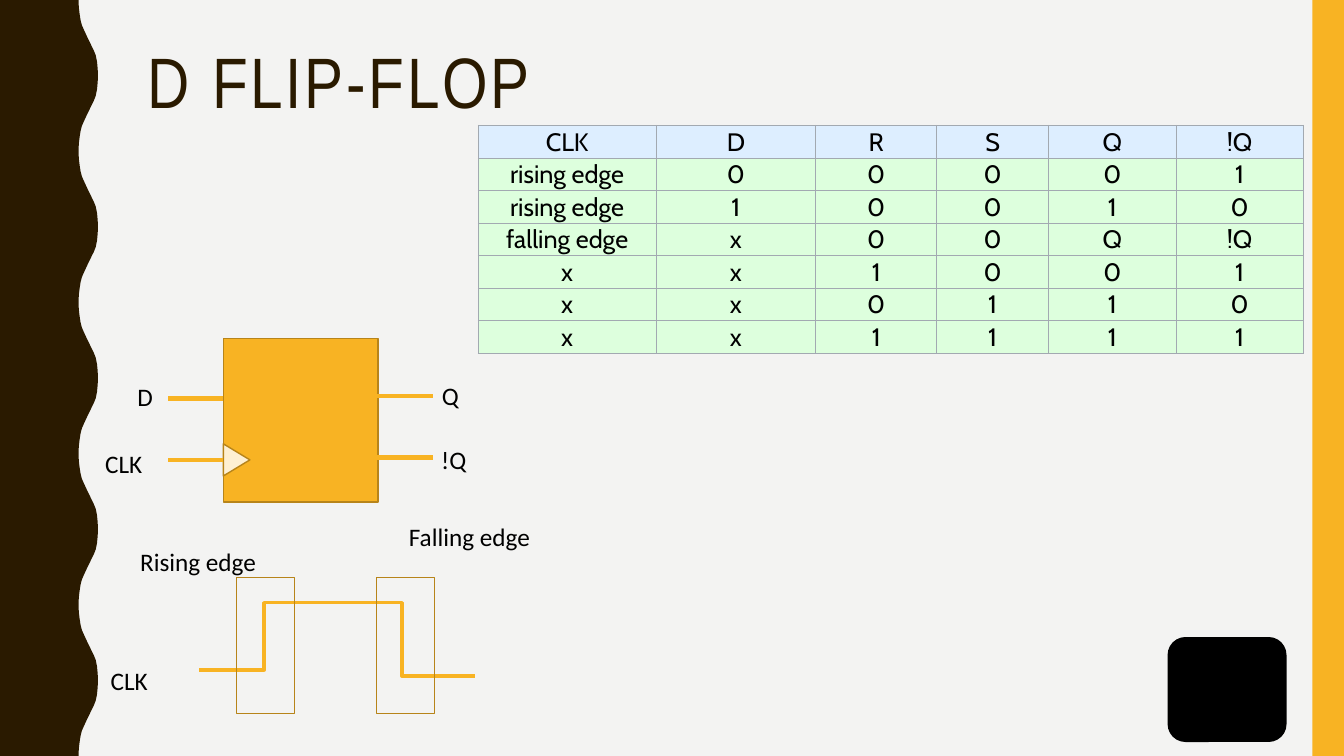
import pptx
import pptx.dml.color
import pptx.enum.shapes
import pptx.enum.text
import pptx.oxml
import pptx.oxml.ns
import pptx.util

Pt = pptx.util.Pt
SHAPE = pptx.enum.shapes.MSO_SHAPE
LINK = pptx.enum.shapes.MSO_CONNECTOR
ALIGN = pptx.enum.text.PP_ALIGN
ANCHOR = pptx.enum.text.MSO_ANCHOR
HUES = {"paper": "F3F3F2", "brown": "2A1A00", "gold": "F8B323", "edge": "B7841A",
        "cream": "FEF0D3", "black": "000000", "head": "DDEEFF", "body": "DDFFDD",
        "rule": "A2A9B1"}
WAVE = [(0, 56.2), (5, 56.3), (10, 56.9), (14.5, 57.6), (18, 58.5), (21, 59.8),
        (24, 61.2), (27, 62.6), (30, 64.1), (33, 65.5), (36, 67), (39.5, 68.4),
        (44, 69.3), (49, 69.8), (54, 70)]
COLS = [127.2, 114, 86.4, 80, 90.9, 91]
ROWS = ["CLK D R S Q !Q".split()] + [[name, *bits] for name, *bits in (
    ("rising edge", "0", "0", "0", "0", "1"),
    ("rising edge", "1", "0", "0", "1", "0"),
    ("falling edge", "x", "0", "0", "Q", "!Q"),
    ("x", "x", "1", "0", "0", "1"),
    ("x", "x", "0", "1", "1", "0"),
    ("x", "x", "1", "1", "1", "1"))]


def hue(name):
    """Return the named colour."""
    return pptx.dml.color.RGBColor.from_string(HUES[name])


def write(frame, text, font="Calibri", size=18, color="black", align=ALIGN.LEFT,
          space=None, lead=None):
    """Put one formatted paragraph into a text frame."""
    para = frame.paragraphs[0]
    para.alignment = align
    if lead:
        para.line_spacing = lead
    run = para.add_run()
    run.text = text
    run.font.name = font
    run.font.size = Pt(size)
    run.font.color.rgb = hue(color)
    if space:
        run.font._element.set("spc", str(space * 100))


def paint(shape, fill=None, line=None):
    """Set the fill and outline of a shape."""
    shape.shadow.inherit = False
    if fill:
        shape.fill.solid()
        shape.fill.fore_color.rgb = hue(fill)
    else:
        shape.fill.background()
    if line:
        shape.line.color.rgb = hue(line)
        shape.line.width = Pt(1)
    else:
        shape.line.fill.background()


def block(slide, kind, box, fill=None, line=None):
    """Add a painted preset shape."""
    shape = slide.shapes.add_shape(kind, *map(Pt, box))
    paint(shape, fill, line)
    return shape


def wire(slide, kind, ends, width):
    """Add a gold connector."""
    link = slide.shapes.add_connector(kind, *map(Pt, ends))
    link.line.color.rgb = hue("gold")
    link.line.width = Pt(width)
    link._element.spPr.append(pptx.oxml.parse_xml(
        f'<a:effectLst {pptx.oxml.ns.nsdecls("a")}/>'))


def label(slide, text, left, top, width):
    """Add a one-line label."""
    frame = slide.shapes.add_textbox(*map(Pt, (left, top, width, 29))).text_frame
    frame.word_wrap = True
    write(frame, text)


def decor(slide, wide, high):
    """Draw the wavy left edge, the right band and the corner badge."""
    slide.background.fill.solid()
    slide.background.fill.fore_color.rgb = hue("paper")
    crest = WAVE + [(108 - y, x) for y, x in WAVE[-2::-1]]
    edge = [(Pt(x), Pt(y + 108 * turn)) for turn in range(5) for y, x in crest]
    path = slide.shapes.build_freeform(0, 0)
    path.add_line_segments(edge + [(0, Pt(high))], close=True)
    paint(path.convert_to_shape(), "brown")
    block(slide, SHAPE.RECTANGLE, (wide - 22.5, 0, 22.5, high), "gold")
    block(slide, SHAPE.ROUNDED_RECTANGLE, (wide - 125.5, high - 84.5, 84, 74),
          "black", "black")


def heading(slide, box, text):
    """Place and fill the title."""
    title = slide.shapes.title
    title.left, title.top, title.width, title.height = map(Pt, box)
    frame = title.text_frame
    frame.vertical_anchor = ANCHOR.TOP
    frame.auto_size = pptx.enum.text.MSO_AUTO_SIZE.NONE
    write(frame, text, font="Arial Narrow", size=51, color="brown", space=2, lead=0.9)


def border(cell):
    """Rule all four sides of a table cell."""
    props = cell._tc.get_or_add_tcPr()
    for side in "LRTB":
        props.append(pptx.oxml.parse_xml(
            f'<a:ln{side} {pptx.oxml.ns.nsdecls("a")} w="6350"><a:solidFill>'
            f'<a:srgbClr val="{HUES["rule"]}"/></a:solidFill></a:ln{side}>'))


def truth(slide, left, top, step):
    """Build the truth table."""
    table = slide.shapes.add_table(len(ROWS), len(COLS), *map(
        Pt, (left, top, sum(COLS), step * len(ROWS)))).table
    for col, width in zip(table.columns, COLS):
        col.width = Pt(width)
    for r, row in enumerate(ROWS):
        table.rows[r].height = Pt(step)
        for c, text in enumerate(row):
            cell = table.cell(r, c)
            cell.margin_left = cell.margin_right = cell.margin_top = Pt(0.75)
            cell.margin_bottom = 0
            cell.vertical_anchor = ANCHOR.MIDDLE
            border(cell)
            cell.fill.solid()
            cell.fill.fore_color.rgb = hue("body" if r else "head")
            write(cell.text_frame, text, font="Cabin", align=ALIGN.CENTER)


def latch(slide, left, top, wide, high):
    """Draw the flip-flop with its pins and labels."""
    block(slide, SHAPE.RECTANGLE, (left, top, wide, high), "gold", "edge")
    mark = block(slide, SHAPE.ISOSCELES_TRIANGLE, (left - 2, top + 77, 23, 19),
                 "cream", "edge")
    mark.rotation = 90
    for start, first in ((left - 39.5, 42.5), (left + wide - 0.5, 41)):
        for y in (top + first, top + first + 44):
            wire(slide, LINK.STRAIGHT, (start + 39.5, y, start, y), 3.25)
    for text, x, y, width in (("D", -68.5, 26.5, 26), ("CLK", -91.5, 75, 48),
                              ("Q", 149, 26, 27), ("!Q", 148.5, 72, 33)):
        label(slide, text, left + x, top + y, width)


def pulse(slide, left, top):
    """Draw the clock pulse with both edges framed."""
    peak = (left + 163.5, top + 62)
    wire(slide, LINK.ELBOW, (*peak, left + 267, top + 114.5), 2.5)
    wire(slide, LINK.ELBOW, (*peak, left + 70, top + 110), 2.5)
    for x in (97, 197):
        block(slide, SHAPE.RECTANGLE, (left + x, top + 44, 41.5, 97), line="edge")
    for text, x, y, width in (("CLK", 0, 103, 48), ("Rising edge", 21, 18, 107),
                              ("Falling edge", 213, 0, 113)):
        label(slide, text, left + x, top + y, width)


def main():
    """Build and save the slide."""
    deck = pptx.Presentation()
    deck.slide_width, deck.slide_height = Pt(960), Pt(540)
    slide = deck.slides.add_slide(deck.slide_layouts[5])
    decor(slide, 960, 540)
    heading(slide, (98.5, 30, 801.5, 117.5), "D FLIP-FLOP")
    truth(slide, 341.5, 89.5, 23.25)
    latch(slide, 159.5, 242, 110.5, 116.5)
    pulse(slide, 72, 368.5)
    deck.save("out.pptx")


if __name__ == "__main__":
    main()
